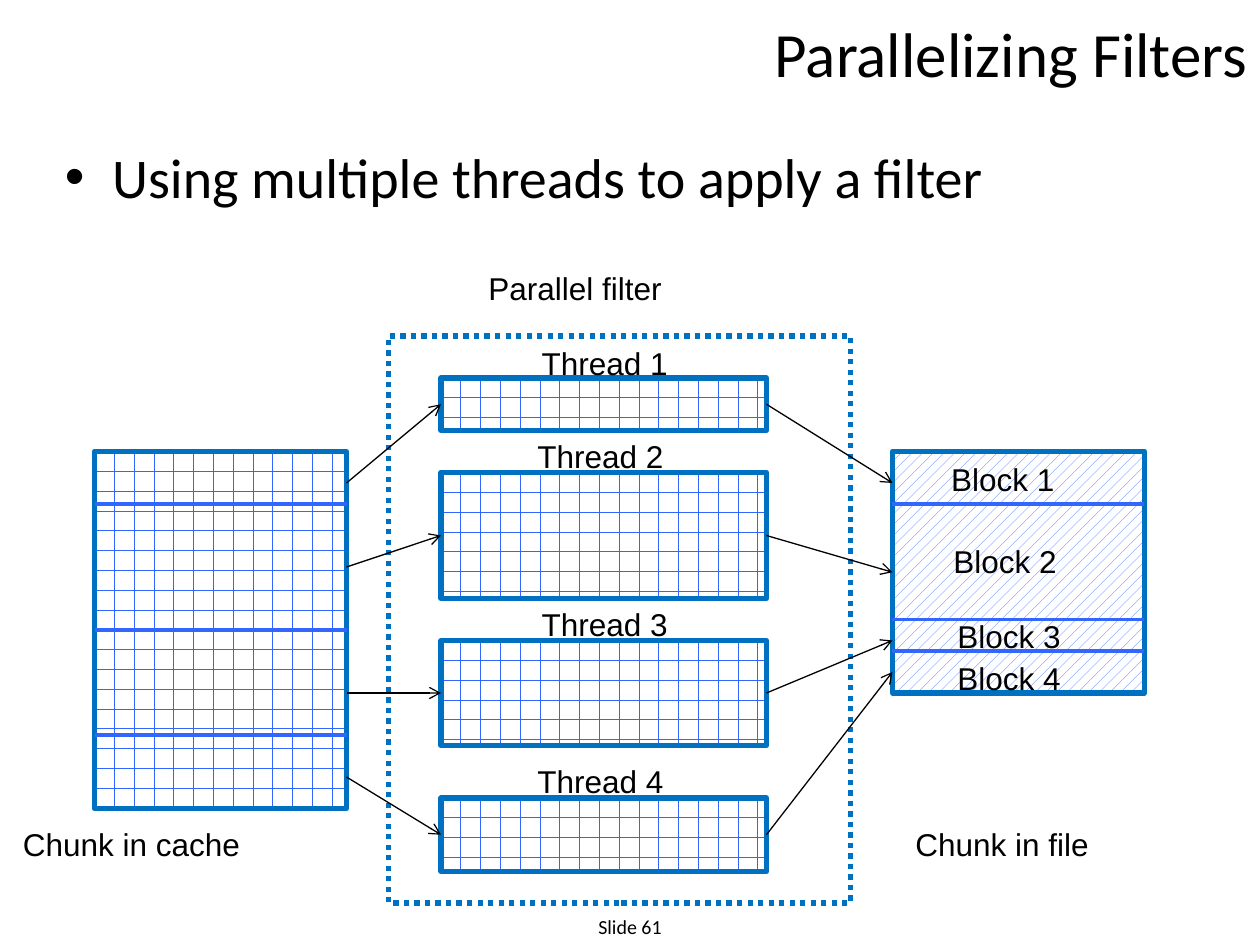
import lxml.etree
import pptx
import pptx.dml.color
import pptx.enum.dml
import pptx.enum.shapes
import pptx.enum.text
import pptx.oxml.ns
import pptx.util

Pt = pptx.util.Pt
qn = pptx.oxml.ns.qn
Align = pptx.enum.text.PP_ALIGN
Anchor = pptx.enum.text.MSO_ANCHOR
Dash = pptx.enum.dml.MSO_LINE
Fill = pptx.enum.dml.MSO_PATTERN

BLACK = "000000"
WHITE = "FFFFFF"
BLUE = "3366FF"
EDGE = "0070C0"


def color(code):
    return pptx.dml.color.RGBColor.from_string(code)


class Page:
    def __init__(self, slide, font, size):
        self.slide = slide
        self.font = font
        self.size = size

    def text(self, words, left, top, width, height, font=None, size=None,
             align=Align.LEFT, anchor=Anchor.TOP):
        box = self.slide.shapes.add_textbox(Pt(left), Pt(top), Pt(width), Pt(height))
        frame = box.text_frame
        frame.text = words
        frame.word_wrap = True
        frame.vertical_anchor = anchor
        par = frame.paragraphs[0]
        par.alignment = align
        for run in par.runs:
            run.font.name = font or self.font
            run.font.size = Pt(size or self.size)
            run.font.color.rgb = color(BLACK)
        return par

    def bullet(self, par, indent):
        props = par._p.get_or_add_pPr()
        props.set("marL", str(Pt(indent)))
        props.set("indent", str(Pt(-indent)))
        lxml.etree.SubElement(props, qn("a:buFont")).set("typeface", "Arial")
        lxml.etree.SubElement(props, qn("a:buChar")).set("char", "•")

    def rect(self, left, top, width, height, fill=None, dash=None):
        kind = pptx.enum.shapes.MSO_SHAPE.RECTANGLE
        box = self.slide.shapes.add_shape(kind, Pt(left), Pt(top), Pt(width), Pt(height))
        box.shadow.inherit = False
        if fill is None:
            box.fill.background()
        else:
            box.fill.patterned()
            box.fill.pattern = fill
            box.fill.fore_color.rgb = color(BLUE)
            box.fill.back_color.rgb = color(WHITE)
        box.line.color.rgb = color(EDGE)
        box.line.width = Pt(3)
        if dash is not None:
            box.line.dash_style = dash

    def line(self, x1, y1, x2, y2, tint=BLUE, width=2, arrow=False):
        kind = pptx.enum.shapes.MSO_CONNECTOR.STRAIGHT
        link = self.slide.shapes.add_connector(kind, Pt(x1), Pt(y1), Pt(x2), Pt(y2))
        link.line.color.rgb = color(tint)
        link.line.width = Pt(width)
        if arrow:
            tail = lxml.etree.SubElement(link.line._get_or_add_ln(), qn("a:tailEnd"))
            tail.set("type", "arrow")
        lxml.etree.SubElement(link._element.spPr, qn("a:effectLst"))

    def arrow(self, x1, y1, x2, y2):
        self.line(x1, y1, x2, y2, BLACK, 0.75, True)

    def chunk(self, left, top, width, height, fill, cuts):
        self.rect(left, top, width, height, fill)
        for cut in cuts:
            self.line(left, cut, left + width, cut)


deck = pptx.Presentation()
deck.slide_width = Pt(720)
deck.slide_height = Pt(540)
page = Page(deck.slides.add_slide(deck.slide_layouts[6]), "Arial", 18)

foot = page.text("Slide 61", 288, 522, 144, 18, "Calibri", 11.4, Align.CENTER)
foot.line_spacing = 0.8
page.text("Parallelizing Filters", 102, 0, 618, 60, "Calibri", 36,
          Align.RIGHT, Anchor.MIDDLE)
lead = page.text("Using multiple threads to apply a filter", 30, 78, 666, 432,
                 "Calibri", 32)
lead.space_before = Pt(3)
page.bullet(lead, 27)

CACHE, THREAD, FILE = 54, 252, 510
WIDE, LONG = 144, 186

page.rect(222, 192, 264, 324, dash=Dash.ROUND_DOT)
page.chunk(CACHE, 258, WIDE, 204, Fill.DOTTED_GRID, (288, 360, 420))
page.chunk(FILE, 258, WIDE, 138, Fill.PERCENT_20, (288, 354, 372))

threads = [
    (216, 30, 276, 276, 302.4, 193),
    (270, 72, 324, 327, 300, 246),
    (366, 60, 396, 366, 302.4, 342),
    (456, 42, 444, 384, 300, 432),
]
for num, (top, tall, start, end, left, label) in enumerate(threads, 1):
    mid = top + tall / 2
    page.rect(THREAD, top, LONG, tall, Fill.DOTTED_GRID)
    page.arrow(CACHE + WIDE, start, THREAD, mid)
    page.arrow(THREAD + LONG, mid, FILE, end)
    page.text(f"Thread {num}", left, label, 90, 29)

blocks = [(536.4, 259.2), (537.8, 306), (540, 349.2), (540, 373)]
for num, (left, top) in enumerate(blocks, 1):
    page.text(f"Block {num}", left, top, 78, 29)

page.text("Parallel filter", 272, 150, 148, 36)
page.text("Chunk in cache", 6, 468, 181, 36)
page.text("Chunk in file", 516, 468, 148, 36)

deck.save("out.pptx")
